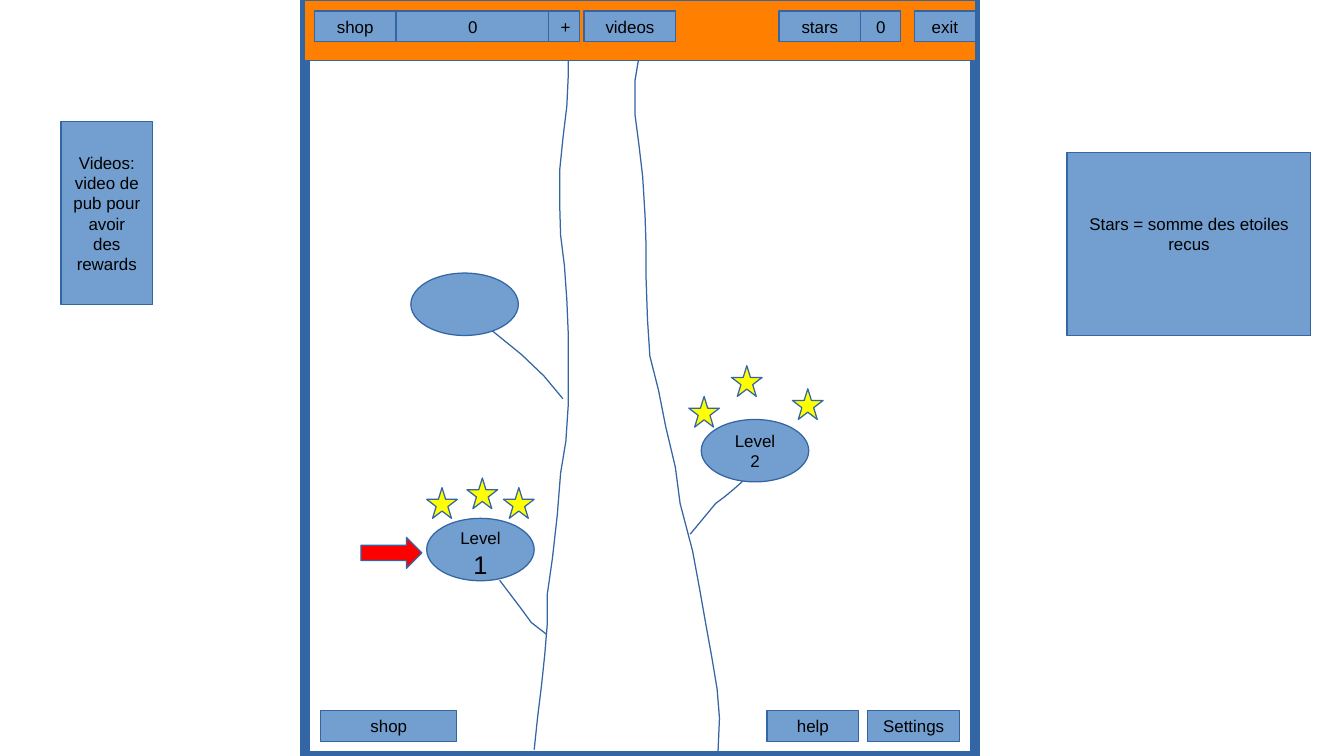
"""Builds a sketch of a game's level map, with its buttons and side notes."""
from pptx import Presentation
from pptx.dml.color import RGBColor
from pptx.enum.shapes import MSO_SHAPE
from pptx.enum.text import MSO_ANCHOR, PP_ALIGN
from pptx.util import Cm, Pt

RECTANGLE, OVAL = MSO_SHAPE.RECTANGLE, MSO_SHAPE.OVAL
STAR, ARROW = MSO_SHAPE.STAR_5_POINT, MSO_SHAPE.RIGHT_ARROW
MIDDLE, CENTER = MSO_ANCHOR.MIDDLE, PP_ALIGN.CENTER

COLORS = {"outline": "3465A4", "box": "729FCF", "screen": "FFFFFF", "bar": "FF8000",
          "arrow": "FF0000", "star": "FFFF00", "text": "000000"}
FONT, TEXT_SIZE, BIG_SIZE = "Arial", 10, 15

SCREEN_LEFT, SCREEN_WIDTH, SCREEN_HEIGHT, BAR_HEIGHT = 6.35, 13.97, 15.75, 1.27
BUTTON_HEIGHT = STAR_SIZE = 0.64
LEVEL_WIDTH, LEVEL_HEIGHT = 2.24, 1.3
NOTE_HEIGHT = 3.81

TRUNK_SIDES = [
    [(11.13, 15.62), (11.2, 14.96), (11.28, 14.3), (11.35, 13.64), (11.4, 13.03),
     (11.4, 12.4), (11.51, 11.63), (11.61, 10.74), (11.68, 9.86), (11.79, 9.19),
     (11.84, 8.43), (11.84, 7.7), (11.84, 6.96), (11.81, 6.25), (11.76, 5.54),
     (11.68, 4.9), (11.66, 4.22), (11.66, 3.56), (11.73, 2.87), (11.81, 2.21),
     (11.84, 1.57), (11.84, 0.94), (11.79, 0.74), (11.76, 0.53), (11.76, 0.41)],
    [(14.96, 15.65), (14.99, 14.96), (14.94, 14.35), (14.83, 13.69), (14.71, 13.03),
     (14.58, 12.29), (14.43, 11.48), (14.17, 10.49), (14.07, 9.73), (13.87, 8.89),
     (13.72, 8.13), (13.54, 7.42), (13.49, 6.65), (13.46, 5.77), (13.46, 5.11),
     (13.44, 4.5), (13.39, 3.68), (13.31, 3), (13.23, 2.39), (13.23, 1.68),
     (13.34, 1.02), (13.54, 0.38), (13.61, 0.18), (13.72, 0.05)],
]
BRANCHES = [
    [(11.38, 13.21), (11.07, 12.97), (10.85, 12.67), (10.41, 12.09)],
    [(14.38, 11.13), (14.91, 10.49), (15.11, 10.34), (15.29, 10.19), (15.47, 10.03)],
    [(11.73, 8.31), (11.33, 7.83), (10.87, 7.39), (10.24, 6.88), (10.11, 6.73)],
]
LEVELS = [
    (8.89, 10.8, [("Level", TEXT_SIZE), (" 1", BIG_SIZE)]),
    (14.61, 8.74, [("Level 2", TEXT_SIZE)]),
    (8.56, 5.69, []),
]
BUTTON_ROWS = {
    14.81: [("Settings", 18.08, 1.91), ("help", 15.98, 1.91), ("shop", 6.68, 2.84)],
    0.23: [("shop", 6.55, 1.7), ("0", 8.26, 3.18), ("+", 11.43, 0.64),
           ("stars", 16.23, 1.7), ("0", 17.93, 0.84), ("exit", 19.05, 1.27),
           ("videos", 12.17, 1.91)],
}
STARS = [(8.89, 10.16), (9.73, 9.96), (10.49, 10.16),
         (14.35, 8.26), (15.24, 7.62), (16.51, 8.1)]
NOTES = [
    ("Stars = somme des etoiles recus", 22.23, 3.18, 5.08, 0.55),
    ("Videos: video de pub pour avoir des rewards", 1.27, 2.54, 1.91, 0.13),
]


def set_outline(shape, width=0):
    shape.shadow.inherit = False
    shape.line.color.rgb = RGBColor.from_string(COLORS["outline"])
    shape.line.width = Pt(width)


def draw_shape(page, kind, left, top, width, height, color, line_width=0):
    shape = page.shapes.add_shape(kind, Cm(left), Cm(top), Cm(width), Cm(height))
    shape.fill.solid()
    shape.fill.fore_color.rgb = RGBColor.from_string(COLORS[color])
    set_outline(shape, line_width)
    return shape


def draw_curve(page, points):
    start, *others = [(Cm(x), Cm(y)) for x, y in points]
    builder = page.shapes.build_freeform(*start)
    builder.add_line_segments(others, close=False)
    curve = builder.convert_to_shape()
    curve.fill.background()
    set_outline(curve)


def write(shape, spans, bottom_margin=0.13):
    frame = shape.text_frame
    frame.word_wrap = True
    frame.vertical_anchor = MIDDLE
    frame.margin_bottom = Cm(bottom_margin)
    para = frame.paragraphs[0]
    para.alignment = CENTER
    para.font.name = FONT
    para.font.color.rgb = RGBColor.from_string(COLORS["text"])
    for text, size in spans:
        span = para.add_run()
        span.text = text
        span.font.size = Pt(size)
        span.font.name = FONT
        span.font.color.rgb = RGBColor.from_string(COLORS["text"])


def draw_buttons(page, top):
    for label, left, width in BUTTON_ROWS[top]:
        button = draw_shape(page, RECTANGLE, left, top, width, BUTTON_HEIGHT, "box")
        write(button, [(label, TEXT_SIZE)])


def main():
    deck = Presentation()
    deck.slide_width, deck.slide_height = Cm(28), Cm(SCREEN_HEIGHT)
    page = deck.slides.add_slide(deck.slide_layouts[6])

    draw_shape(page, RECTANGLE, SCREEN_LEFT, 0, SCREEN_WIDTH, SCREEN_HEIGHT, "screen", 5.75)
    for points in TRUNK_SIDES + BRANCHES:
        draw_curve(page, points)
    for left, top, spans in LEVELS:
        level = draw_shape(page, OVAL, left, top, LEVEL_WIDTH, LEVEL_HEIGHT, "box")
        if spans:
            write(level, spans)

    bottom_row, top_row = BUTTON_ROWS
    draw_buttons(page, bottom_row)
    draw_shape(page, RECTANGLE, SCREEN_LEFT, 0, SCREEN_WIDTH, BAR_HEIGHT, "bar")
    draw_buttons(page, top_row)

    draw_shape(page, ARROW, 7.52, 11.2, 1.27, 0.64, "arrow")
    for left, top in STARS:
        draw_shape(page, STAR, left, top, STAR_SIZE, STAR_SIZE, "star")
    for text, left, top, width, bottom_margin in NOTES:
        note = draw_shape(page, RECTANGLE, left, top, width, NOTE_HEIGHT, "box")
        write(note, [(text, TEXT_SIZE)], bottom_margin)

    deck.save("out.pptx")


if __name__ == "__main__":
    main()
